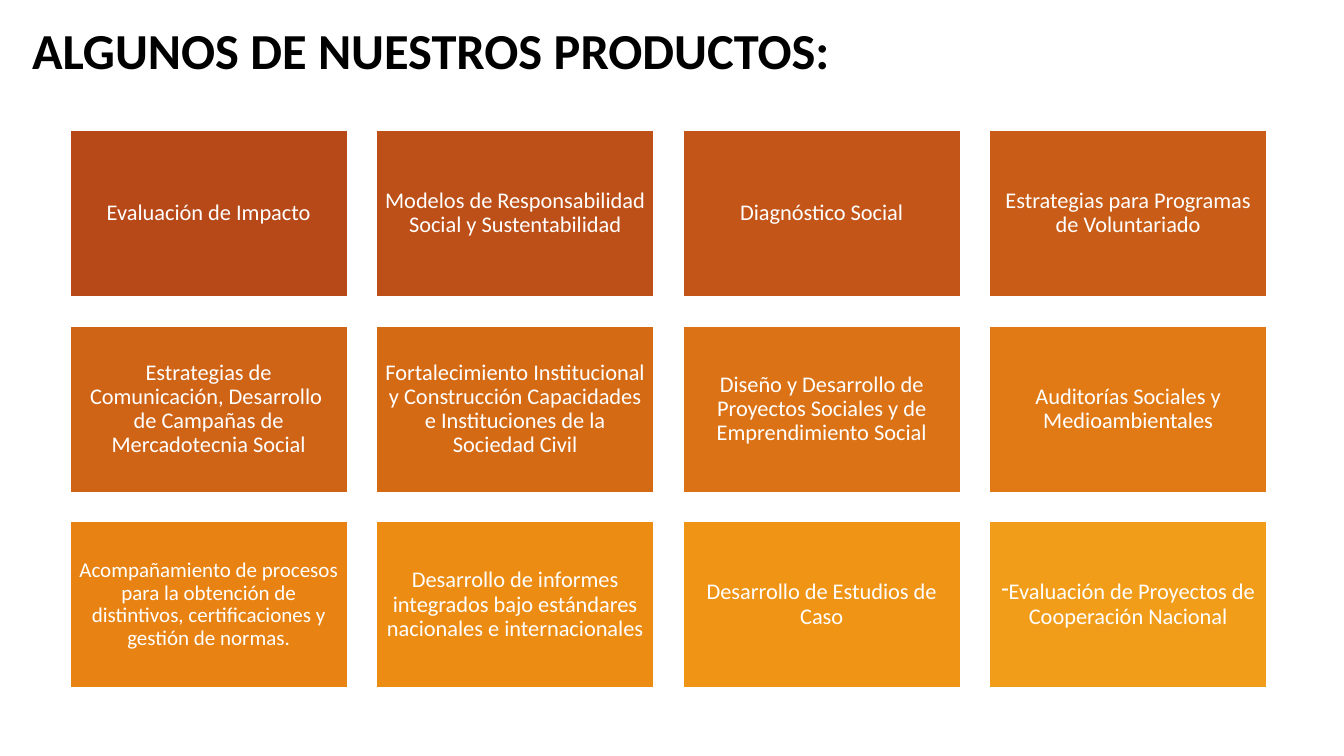
from dataclasses import dataclass

from lxml import etree
from pptx import Presentation
from pptx.dml.color import RGBColor
from pptx.enum.shapes import MSO_SHAPE
from pptx.enum.text import MSO_ANCHOR, PP_ALIGN
from pptx.oxml.ns import qn
from pptx.util import Inches, Pt

RECTANGLE = MSO_SHAPE.RECTANGLE
MIDDLE = MSO_ANCHOR.MIDDLE
CENTER = PP_ALIGN.CENTER


@dataclass(frozen=True)
class Theme:
    font: str = "Calibri"
    title_size: int = 36
    tile_size: int = 16
    small_size: int = 15
    title_color: str = "000000"
    white: str = "FFFFFF"
    ramp: tuple[str, ...] = (
        "B74919", "BD4F18", "C35518", "C95C17",
        "CF6316", "D56A15", "DB7215", "E17A14",
        "E88313", "ED8C12", "EF9415", "F19D19",
    )


@dataclass(frozen=True)
class Product:
    text: str
    size: int
    inset: float = 0.07
    bullet: str = ""


@dataclass(frozen=True)
class Grid:
    columns: int = 4
    left: float = 0.69
    top: float = 1.29
    width: float = 2.76
    height: float = 1.66
    column_step: float = 3.04
    row_step: float = 1.94


THEME = Theme()
GRID = Grid()

PRODUCTS = [
    Product("Evaluación de Impacto", THEME.tile_size),
    Product("Modelos de Responsabilidad Social y Sustentabilidad", THEME.tile_size),
    Product("Diagnóstico Social", THEME.tile_size),
    Product("Estrategias para Programas de Voluntariado", THEME.tile_size),
    Product("Estrategias de Comunicación, Desarrollo  de Campañas de "
            "Mercadotecnia Social", THEME.tile_size),
    Product("Fortalecimiento Institucional y Construcción Capacidades "
            "e Instituciones de la Sociedad Civil", THEME.tile_size),
    Product("Diseño y Desarrollo de Proyectos Sociales y de "
            "Emprendimiento Social", THEME.tile_size),
    Product("Auditorías Sociales y Medioambientales", THEME.tile_size),
    Product("Acompañamiento de procesos para la obtención de distintivos, "
            "certificaciones y gestión de normas.", THEME.small_size, inset=0.06),
    Product("Desarrollo de informes integrados bajo estándares nacionales "
            "e internacionales", THEME.tile_size),
    Product("Desarrollo de Estudios de Caso", THEME.tile_size),
    Product("Evaluación de Proyectos de Cooperación Nacional",
            THEME.tile_size, bullet="-"),
]


def add_span(para, text: str, size: int, color: str, bold: bool = False) -> None:
    span = para.add_run()
    span.text = text
    span.font.name = THEME.font
    span.font.size = Pt(size)
    span.font.bold = bold
    span.font.color.rgb = RGBColor.from_string(color)


def add_bullet(para, character: str) -> None:
    properties = para._p.get_or_add_pPr()
    properties.set("marL", "0")
    properties.set("indent", "0")
    etree.SubElement(properties, qn("a:buFontTx"))
    etree.SubElement(properties, qn("a:buChar")).set("char", character)


def add_title(page, text: str) -> None:
    box = page.shapes.add_textbox(Inches(0.22), Inches(0.14), Inches(10.49), Inches(0.71))
    box.text_frame.word_wrap = True
    add_span(box.text_frame.paragraphs[0], text, THEME.title_size, THEME.title_color, bold=True)


def add_tile(page, product: Product, index: int) -> None:
    row, column = divmod(index, GRID.columns)
    tile = page.shapes.add_shape(
        RECTANGLE,
        Inches(GRID.left + column * GRID.column_step),
        Inches(GRID.top + row * GRID.row_step),
        Inches(GRID.width), Inches(GRID.height))
    tile.shadow.inherit = False
    tile.fill.solid()
    tile.fill.fore_color.rgb = RGBColor.from_string(THEME.ramp[index])
    tile.line.color.rgb = RGBColor.from_string(THEME.white)
    tile.line.width = Pt(1.5)

    frame = tile.text_frame
    frame.word_wrap = True
    frame.vertical_anchor = MIDDLE
    frame.margin_left = frame.margin_right = Inches(product.inset)
    frame.margin_top = frame.margin_bottom = Inches(product.inset)
    para = frame.paragraphs[0]
    para.alignment = CENTER
    para.line_spacing = 0.9
    if product.bullet:
        add_bullet(para, product.bullet)
    add_span(para, product.text, product.size, THEME.white)


deck = Presentation()
deck.slide_width = Inches(13.33)
deck.slide_height = Inches(7.5)
page = deck.slides.add_slide(deck.slide_layouts[6])

# Heading
add_title(page, "ALGUNOS DE NUESTROS PRODUCTOS:")

# Product tiles, row by row
for index, product in enumerate(PRODUCTS):
    add_tile(page, product, index)

deck.save("out.pptx")
